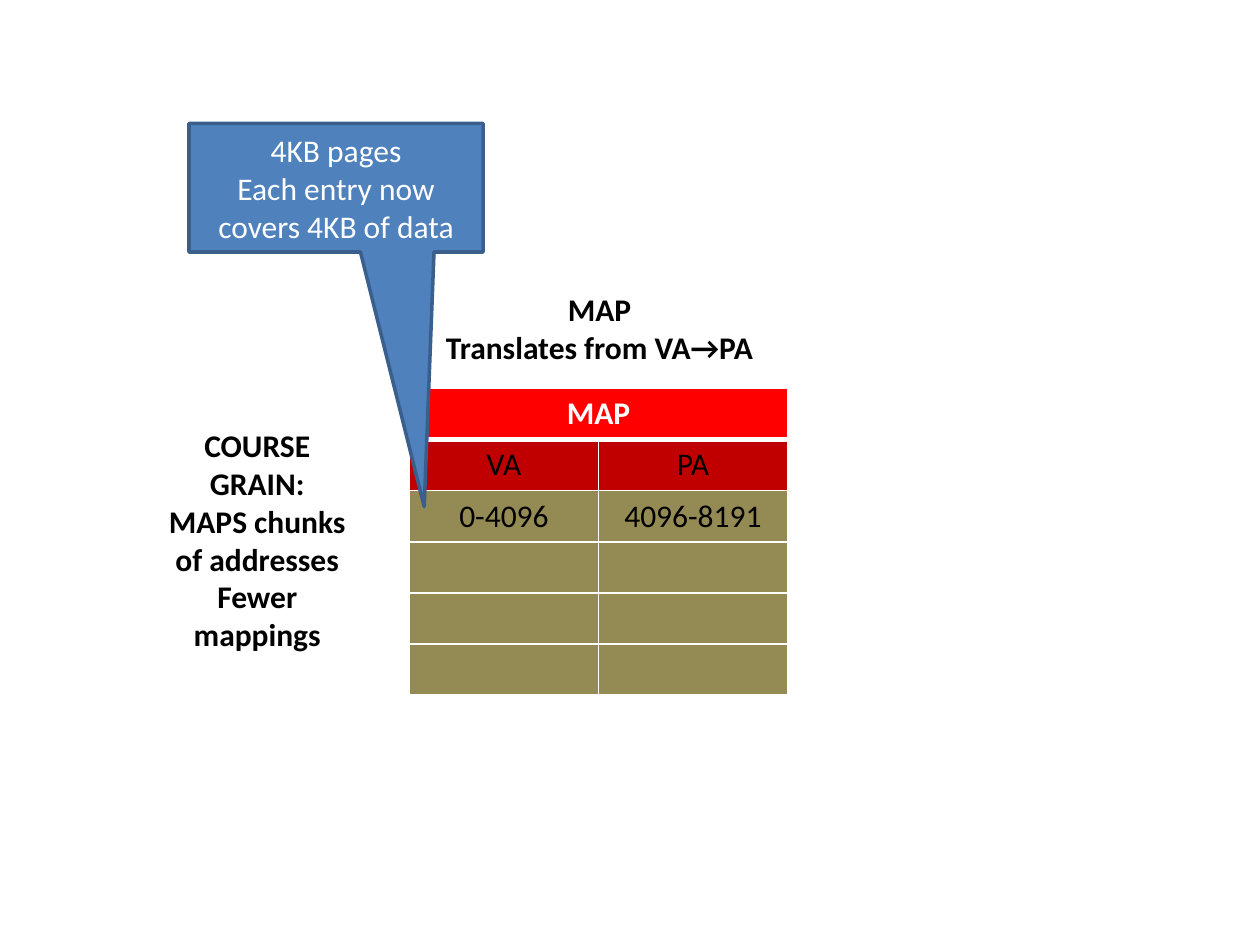
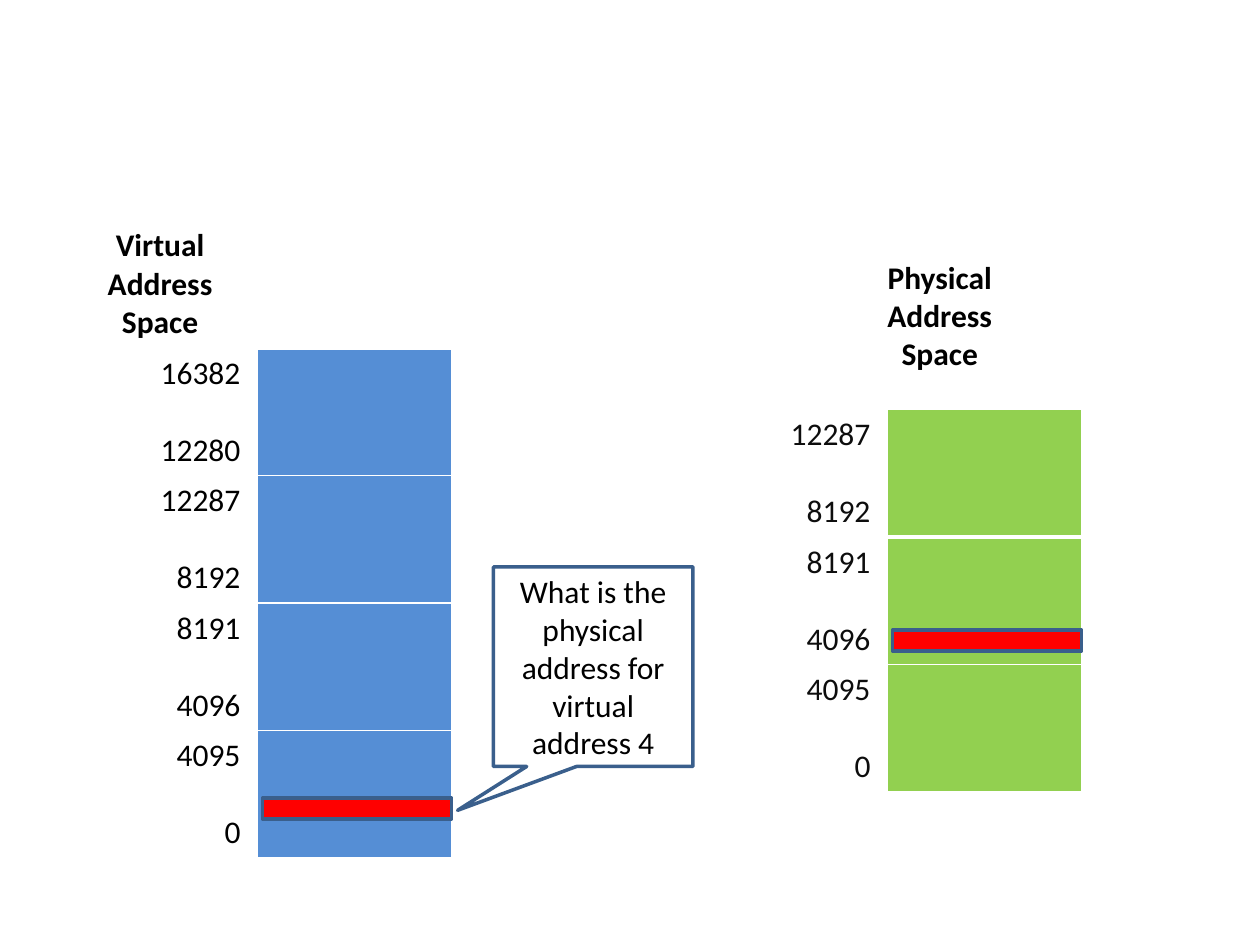
"""Build two slides on mapping virtual addresses to physical addresses."""
from dataclasses import dataclass

from lxml import etree
from pptx import Presentation, util as u
from pptx.dml.color import RGBColor
from pptx.enum import shapes, text
from pptx.oxml import ns


@dataclass(frozen=True)
class Theme:
    """Colours and type sizes shared by the slides."""
    font: str = "Calibri"
    size: int = 18
    line_gap: int = 22
    outline_width: int = 2
    rule: int = 1
    header_rule: int = 3
    white: str = "FFFFFF"
    black: str = "000000"
    soft_black: str = "0D0D0D"
    red: str = "FF0000"
    dark_red: str = "C00000"
    olive: str = "948A54"
    blue: str = "4F81BD"
    outline: str = "3A5F8C"
    virtual: str = "558ED5"
    physical: str = "92D050"


T = Theme()
COLS, ROWS = 120, 90
UNIT = u.Inches(10) // COLS
LABEL_MARGIN = 1.6
PAGE_ROW = 12.15
PAGE_COLS = (18.5, 18.5)


@dataclass(frozen=True)
class Box:
    """A rectangle in grid columns and rows."""
    col: float
    row: float
    width: float
    height: float

    def emu(self) -> tuple:
        """Return the rectangle in slide units."""
        return tuple(units(n) for n in (self.col, self.row, self.width, self.height))


@dataclass(frozen=True)
class Caption:
    """A bold centred heading."""
    box: Box
    words: str


@dataclass(frozen=True)
class Panel:
    """An outlined shape, with a pointer when it is a callout."""
    box: Box
    fill: str
    words: str = ""
    color: str = T.black
    pointer: tuple = ()


@dataclass(frozen=True)
class Cell:
    """The content and look of one table cell."""
    words: str = ""
    fill: str = T.white
    color: str = T.black
    bold: bool = False
    is_range: bool = False


@dataclass(frozen=True)
class Grid:
    """A table with equal rows."""
    col: float
    row: float
    widths: tuple
    row_height: float
    cells: list
    merge_header: bool = False


def units(n: float) -> int:
    """Convert grid steps to slide units."""
    return int(n * UNIT)


def rgb(color: str) -> RGBColor:
    """Turn a hex string into a colour."""
    return RGBColor.from_string(color)


def write(tf, words: str, color: str, bold: bool = False,
          align=text.PP_ALIGN.CENTER) -> None:
    """Fill a text frame and format every run."""
    tf.text = words
    tf.word_wrap = True
    for p in tf.paragraphs:
        p.alignment = align
        for r in p.runs:
            r.font.name, r.font.size = T.font, u.Pt(T.size)
            r.font.bold, r.font.color.rgb = bold, rgb(color)


def draw_caption(sl, cap: Caption) -> None:
    """Draw a heading."""
    sp = sl.shapes.add_textbox(*cap.box.emu())
    write(sp.text_frame, cap.words, T.black, bold=True)
    sp.text_frame.auto_size = text.MSO_AUTO_SIZE.SHAPE_TO_FIT_TEXT


def draw_panel(sl, panel: Panel) -> None:
    """Draw a bar or a callout."""
    kind = shapes.MSO_SHAPE
    preset = kind.RECTANGULAR_CALLOUT if panel.pointer else kind.RECTANGLE
    sp = sl.shapes.add_shape(preset, *panel.box.emu())
    for i, value in enumerate(panel.pointer):
        sp.adjustments[i] = value
    sp.shadow.inherit = False
    sp.fill.solid()
    sp.fill.fore_color.rgb = rgb(panel.fill)
    sp.line.color.rgb = rgb(T.outline)
    sp.line.width = u.Pt(T.outline_width)
    if panel.words:
        write(sp.text_frame, panel.words, panel.color)
        sp.text_frame.vertical_anchor = text.MSO_ANCHOR.MIDDLE


def add_rules(cell, row: int) -> None:
    """Give a cell white borders, thicker below the first row."""
    pr = cell._tc.get_or_add_tcPr()
    top = T.header_rule if row == 1 else T.rule
    bottom = T.header_rule if row == 0 else T.rule
    for side, width in (("L", T.rule), ("R", T.rule), ("T", top), ("B", bottom)):
        ln = etree.SubElement(pr, ns.qn(f"a:ln{side}"), w=str(u.Pt(width)))
        fill = etree.SubElement(ln, ns.qn("a:solidFill"))
        etree.SubElement(fill, ns.qn("a:srgbClr"), val=T.white)


def draw_grid(sl, grid: Grid) -> None:
    """Draw a table."""
    box = Box(grid.col, grid.row, sum(grid.widths), grid.row_height * len(grid.cells))
    table = sl.shapes.add_table(len(grid.cells), len(grid.widths), *box.emu()).table
    table.first_row = table.horz_banding = False
    for column, width in zip(table.columns, grid.widths):
        column.width = units(width)
    for i, row in enumerate(grid.cells):
        table.rows[i].height = units(grid.row_height)
        for j, item in enumerate(row):
            cell = table.cell(i, j)
            add_rules(cell, i)
            cell.fill.solid()
            cell.fill.fore_color.rgb = rgb(item.fill)
            align = text.PP_ALIGN.RIGHT if item.is_range else text.PP_ALIGN.CENTER
            write(cell.text_frame, item.words, item.color, item.bold, align)
            if item.is_range:
                cell.margin_right = units(LABEL_MARGIN)
                cell.text_frame.paragraphs[1].space_before = u.Pt(T.line_gap)
    if grid.merge_header:
        table.cell(0, 0).merge(table.cell(0, len(grid.widths) - 1))


def page_rows(ranges: list, fill: str, color: str) -> list:
    """Pair each address range with its coloured page."""
    return [[Cell(f"{high}\n{low}", color=color, is_range=True), Cell(fill=fill)]
            for high, low in ranges]


def target_bar(col: float, row: float) -> Panel:
    """Return the bar that marks one address."""
    return Panel(Box(col, row, 18, 2), T.red)


def map_slide() -> list:
    """List the elements of the page map slide."""
    entries = [("0-4096", "4096-8191")] + [("", "")] * 3
    cells = [[Cell("MAP", T.red, T.white, bold=True), Cell(fill=T.red)],
             [Cell(name, T.dark_red) for name in ("VA", "PA")]]
    cells += [[Cell(value, T.olive) for value in entry] for entry in entries]
    return [
        Grid(39, 37, (18, 18), 4.8, cells, merge_header=True),
        Caption(Box(14, 40, 21, 23),
                "COURSE GRAIN:\nMAPS chunks of addresses Fewer mappings"),
        Caption(Box(39.6, 27, 35, 8.5), "MAP\nTranslates from VA→PA"),
        Panel(Box(18, 11.75, 28, 12.25), T.blue,
              "4KB pages\nEach entry now covers 4KB of data", T.white, (0.3, 2.48)),
    ]


def spaces_slide() -> list:
    """List the elements of the address spaces slide."""
    low_ranges = [(8191, 4096), (4095, 0)]
    virtual = [(16382, 12280), (12287, 8192)] + low_ranges
    physical = [(12287, 8192)] + low_ranges
    header = [Cell("Virtual Address Space", bold=True), Cell()]
    return [
        Grid(6, 21, PAGE_COLS, PAGE_ROW,
             [header] + page_rows(virtual, T.virtual, T.black)),
        Grid(66, 39, PAGE_COLS, PAGE_ROW,
             page_rows(physical, T.physical, T.soft_black)),
        Caption(Box(79, 24, 21, 12), "Physical Address\nSpace"),
        target_bar(25, 76),
        target_bar(85, 60),
        Panel(Box(47, 54, 19, 19), T.white,
              "What is the physical address for virtual address 4",
              pointer=(-0.68, 0.72)),
    ]


DRAW = {Caption: draw_caption, Panel: draw_panel, Grid: draw_grid}


def main() -> None:
    """Build and save the presentation."""
    prs = Presentation()
    prs.slide_width, prs.slide_height = units(COLS), units(ROWS)
    for elements in (map_slide(), spaces_slide()):
        sl = prs.slides.add_slide(prs.slide_layouts[6])
        for element in elements:
            DRAW[type(element)](sl, element)
    prs.save("out.pptx")


if __name__ == "__main__":
    main()
